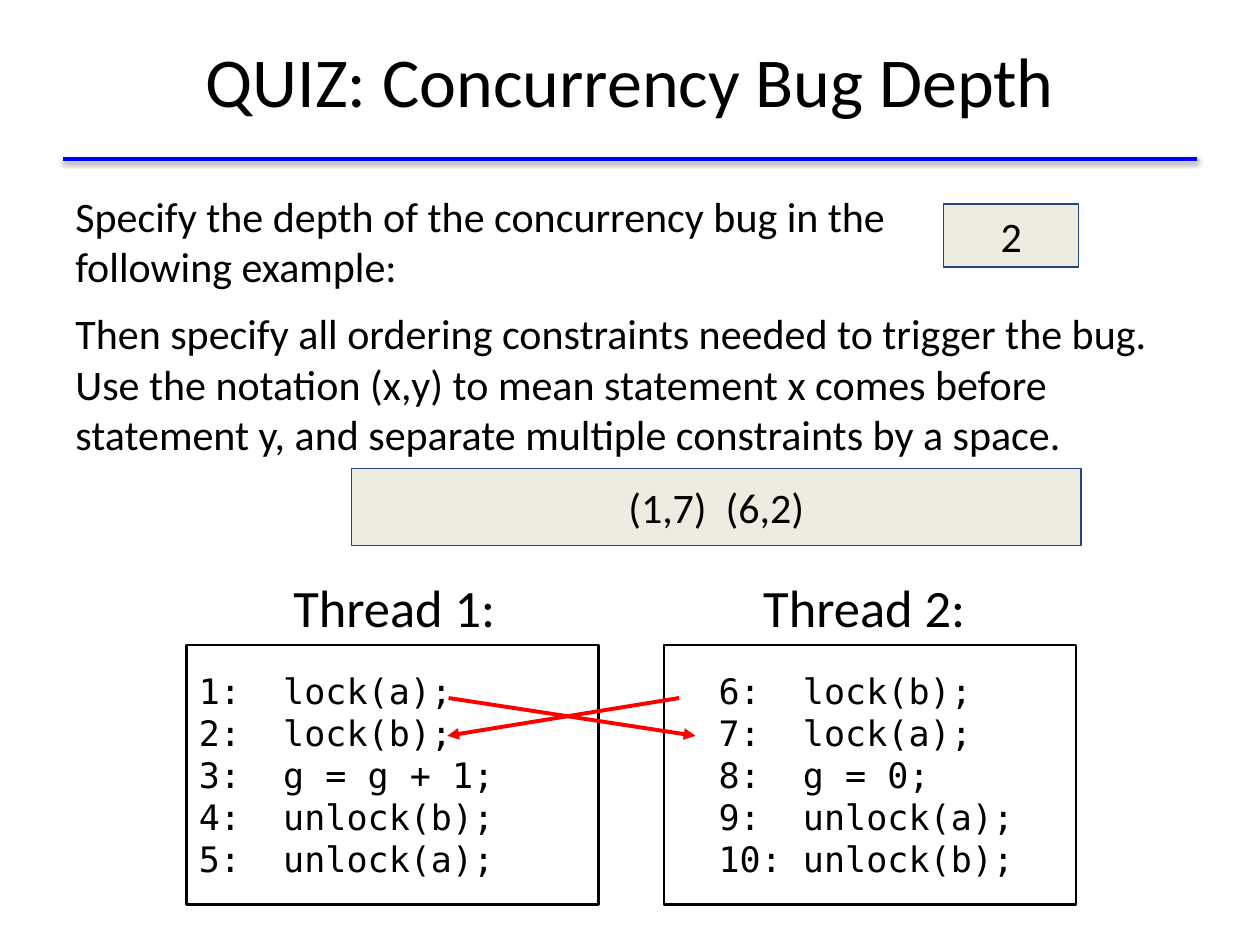
from lxml.etree import SubElement as Sub
from pptx import Presentation
from pptx.dml.color import RGBColor as RGB
from pptx.enum.shapes import MSO_CONNECTOR as Conn, MSO_SHAPE as Shape
from pptx.enum.text import MSO_ANCHOR as Anchor, PP_ALIGN as Align
from pptx.oxml.ns import qn
from pptx.util import Inches, Pt

COLORS = {"ink": "000000", "rule": "0000FF", "fill": "EEECE1",
          "edge": "1F497D", "arrow": "FF0000"}
SANS, MONO = "Calibri", "DejaVu Sans Mono"

TITLE = "QUIZ: Concurrency Bug Depth"
TASK = [
    "Specify the depth of the concurrency bug in the\vfollowing example:",
    "Then specify all ordering constraints needed to trigger the bug. "
    "Use the notation (x,y) to mean statement x comes before statement y, "
    "and separate multiple constraints by a space.",
]
ANSWERS = [("2", (7.49, 1.62, 1.07, 0.5)),
           ("(1,7)  (6,2)", (2.79, 3.72, 5.79, 0.61))]
# Heading, heading centre, box left, code
THREADS = [
    ("Thread 1:", 3.13, 1.48,
     ["1:  lock(a);", "2:  lock(b);", "3:  g = g + 1;",
      "4:  unlock(b);", "5:  unlock(a);"]),
    ("Thread 2:", 6.86, 5.27,
     ["  6:  lock(b);", "  7:  lock(a);", "  8:  g = 0;",
      "  9:  unlock(a);", "  10: unlock(b);"]),
]
ROWS = (5.54, 5.84)  # heights of the first two statements
ARROWS = [(3.56, 5.52), (5.39, 3.55)]


def color(name):
    return RGB.from_string(COLORS[name])


def write(shape, lines, size, font=SANS, align=Align.CENTER,
          anchor=Anchor.MIDDLE, gap=0, pitch=None):
    frame = shape.text_frame
    frame.word_wrap = True
    frame.vertical_anchor = anchor
    frame.margin_left = frame.margin_right = Inches(0.1)
    frame.margin_top = frame.margin_bottom = Inches(0.1)
    for i, line in enumerate(lines):
        para = frame.paragraphs[0] if i == 0 else frame.add_paragraph()
        para.alignment = align
        if i and gap:
            para.space_before = Pt(gap)
        if pitch:
            para.line_spacing = Pt(pitch)
        for j, part in enumerate(line.split("\v")):
            if j:
                para.add_line_break()
            run = para.add_run()
            run.text = part
            run.font.size = Pt(size)
            run.font.name = font
            run.font.color.rgb = color("ink")


def label(place, lines, size, **style):
    write(slide.shapes.add_textbox(*map(Inches, place)), lines, size, **style)


def panel(place, lines, size, fill, edge, width, **style):
    box = slide.shapes.add_shape(Shape.RECTANGLE, *map(Inches, place))
    box.shadow.inherit = False
    if fill:
        box.fill.solid()
        box.fill.fore_color.rgb = color(fill)
    else:
        box.fill.background()
    box.line.color.rgb = color(edge)
    box.line.width = Pt(width)
    write(box, lines, size, **style)


def stroke(start, end, name, width):
    line = slide.shapes.add_connector(Conn.STRAIGHT,
                                      *map(Inches, start + end))
    line.line.color.rgb = color(name)
    line.line.width = Pt(width)
    effects = Sub(line._element.spPr, qn("a:effectLst"))
    return line, effects


deck = Presentation()
deck.slide_width, deck.slide_height = Inches(10), Inches(7.5)
slide = deck.slides.add_slide(deck.slide_layouts[6])

# Title and its rule with a soft shadow
_, effects = stroke((0.5, 1.26), (9.5, 1.26), "rule", 2)
shade = Sub(effects, qn("a:outerShdw"), blurRad=str(Pt(3.1)),
            dist=str(Pt(1.6)), dir="5400000", rotWithShape="0")
tint = Sub(shade, qn("a:srgbClr"), val=COLORS["ink"])
Sub(tint, qn("a:alpha"), val="38000")
label((0.5, 0.01, 9, 1.25), [TITLE], 40)

# Task and answers
label((0.5, 1.41, 8.83, 2.95), TASK, 24, align=Align.LEFT,
      anchor=Anchor.TOP, gap=9.6)
for text, place in ANSWERS:
    panel(place, [text], 24, "fill", "edge", 0.75)

# Threads
for head, mid, left, code in THREADS:
    label((mid - 1.05, 4.54, 2.1, 0.55), [head], 30)
    panel((left, 5.12, 3.27, 2.06), code, 20, None, "ink", 1.5,
          font=MONO, align=Align.LEFT, pitch=24)

# Ordering arrows
for start, end in ARROWS:
    arrow, _ = stroke((start, ROWS[0]), (end, ROWS[1]), "arrow", 2.25)
    Sub(arrow.line._get_or_add_ln(), qn("a:tailEnd"), type="triangle")

deck.save("out.pptx")
